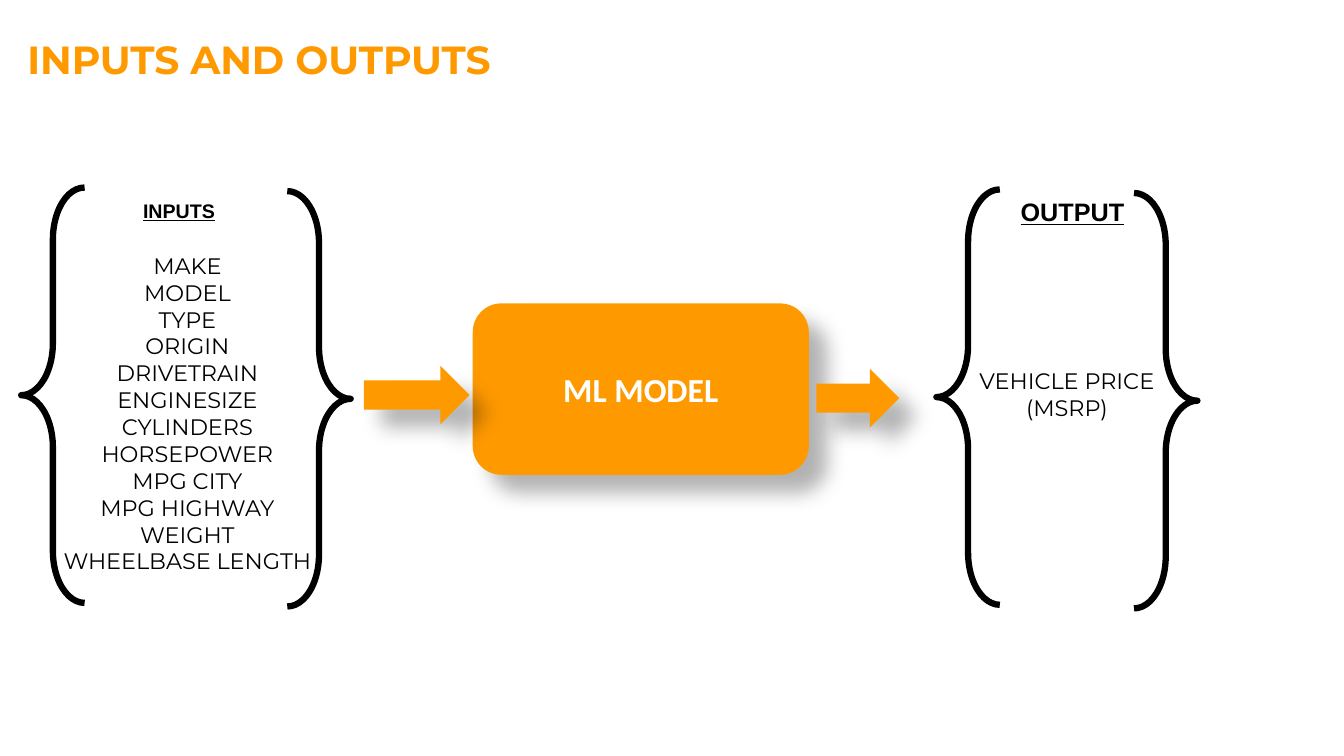
"""Build the slide that shows the inputs and the output of a machine learning model."""
from pptx import Presentation
from pptx import util as u
from pptx.dml.color import RGBColor
from pptx.enum import shapes, text
from pptx.oxml import parse_xml
from pptx.oxml.ns import nsdecls, qn

ORANGE = RGBColor(0xFF, 0x99, 0x00)
BLACK = RGBColor(0x00, 0x00, 0x00)
WHITE = RGBColor(0xFF, 0xFF, 0xFF)

SLIDE_WIDTH, SLIDE_HEIGHT = u.Inches(13.33), u.Inches(7.5)
COLUMNS, ROWS = 64, 36
BRACE_COLUMNS, BRACE_ROWS = 3.02, 19.78
BRACE_DROP = 0.17
ARROW_ROWS = 2.78

TITLE = {"name": "Montserrat", "size": u.Pt(28), "bold": True, "color": ORANGE}
ITEM = {"name": "Montserrat", "size": u.Pt(16), "bold": False, "color": BLACK}
MODEL = {"name": "Calibri", "size": u.Pt(24), "bold": True, "color": WHITE}
CAPTION = {"name": "Arial", "bold": True, "underline": True, "color": BLACK}
INPUT_CAPTION = {**CAPTION, "size": u.Pt(14)}
OUTPUT_CAPTION = {**CAPTION, "size": u.Pt(18)}

INPUTS = ["MAKE", "MODEL", "TYPE", "ORIGIN", "DRIVETRAIN", "ENGINESIZE", "CYLINDERS",
          "HORSEPOWER", "MPG CITY", "MPG HIGHWAY", "WEIGHT", "WHEELBASE LENGTH"]
OUTPUTS = ["VEHICLE PRICE (MSRP)"]


def place(column, row, columns, rows):
    """Turn a grid area into left, top, width and height."""
    cell_width, cell_height = SLIDE_WIDTH / COLUMNS, SLIDE_HEIGHT / ROWS
    return (round(column * cell_width), round(row * cell_height),
            round(columns * cell_width), round(rows * cell_height))


def move(holder, area):
    """Set a placeholder on a grid area."""
    for side, length in zip(("left", "top", "width", "height"), place(*area)):
        setattr(holder, side, length)


def format_font(font, style):
    """Apply the format values of a style to a font."""
    for name, value in style.items():
        if name == "color":
            font.color.rgb = value
        else:
            setattr(font, name, value)


def write(frame, lines, style, align, anchor=text.MSO_ANCHOR.TOP, wrap=True):
    """Write plain paragraphs without bullets into a text frame."""
    frame.word_wrap = wrap
    frame.auto_size = text.MSO_AUTO_SIZE.NONE
    frame.vertical_anchor = anchor
    for index, line in enumerate(lines):
        paragraph = frame.paragraphs[0] if index == 0 else frame.add_paragraph()
        properties = paragraph._p.get_or_add_pPr()
        properties.set("marL", "0")
        properties.set("indent", "0")
        properties.append(parse_xml(f"<a:buNone {nsdecls('a')}/>"))
        paragraph.alignment = align
        paragraph.space_before = u.Pt(0)
        paragraph.text = line
        format_font(paragraph.font, style)


def add_caption(slide, words, area, style, align, wrap):
    """Add the heading of a brace group."""
    caption = slide.shapes.add_textbox(*place(*area))
    write(caption.text_frame, [words], style, align, wrap=wrap)


def add_block(slide, kind, area):
    """Add an orange shape with a soft shadow."""
    block = slide.shapes.add_shape(kind, *place(*area))
    block.fill.solid()
    block.fill.fore_color.rgb = ORANGE
    block.line.fill.background()
    block.shadow.inherit = False
    block._element.spPr.find(qn("a:effectLst")).append(parse_xml(
        f'<a:outerShdw {nsdecls("a")} blurRad="{u.Pt(15)}" dist="{u.Pt(18)}" '
        'dir="2700000" algn="tl" rotWithShape="0"><a:srgbClr val="000000">'
        '<a:alpha val="30000"/></a:srgbClr></a:outerShdw>'))
    return block


def add_braces(slide, column, row, gap):
    """Add a left brace and its turned partner a gap of columns away."""
    for offset, drop, turn in ((0, 0, 0), (gap, BRACE_DROP, 180)):
        area = (column + offset, row + drop, BRACE_COLUMNS, BRACE_ROWS)
        brace = slide.shapes.add_shape(shapes.MSO_SHAPE.LEFT_BRACE, *place(*area))
        brace.adjustments[0] = 0.82
        brace.rotation = turn
        brace.fill.background()
        brace.line.color.rgb = BLACK
        brace.line.width = u.Pt(4.5)
        brace.shadow.inherit = False


def main():
    """Build and save the slide."""
    deck = Presentation()
    deck.slide_width, deck.slide_height = SLIDE_WIDTH, SLIDE_HEIGHT
    slide = deck.slides.add_slide(deck.slide_layouts.get_by_name("Two Content"))
    left, center = text.PP_ALIGN.LEFT, text.PP_ALIGN.CENTER
    middle = text.MSO_ANCHOR.MIDDLE

    heading, inputs, outputs = slide.placeholders
    move(heading, (0.82, 1.44, 54.34, 2.74))
    write(heading.text_frame, ["INPUTS AND OUTPUTS"], TITLE, left)
    move(inputs, (2.3, 11.76, 13.25, 16))
    write(inputs.text_frame, INPUTS, ITEM, center)
    move(outputs, (45.07, 12.72, 11.47, 12.1))
    write(outputs.text_frame, OUTPUTS, ITEM, center, middle)

    model = add_block(slide, shapes.MSO_SHAPE.ROUNDED_RECTANGLE, (22.51, 14.45, 16, 8.16))
    write(model.text_frame, ["ML MODEL"], MODEL, center, middle)
    for column, row, columns in ((17.33, 17.42, 5.04), (38.88, 17.57, 3.94)):
        add_block(slide, shapes.MSO_SHAPE.RIGHT_ARROW, (column, row, columns, ARROW_ROWS))

    add_braces(slide, 1.01, 8.93, 12.67)
    add_braces(slide, 44.59, 9.02, 9.41)
    add_caption(slide, "INPUTS", (6.34, 9.22, 4.42, 1.63), INPUT_CAPTION, left, False)
    add_caption(slide, "OUTPUT", (38.14, 9.12, 25.86, 1.92), OUTPUT_CAPTION, center, True)

    deck.save("out.pptx")


if __name__ == "__main__":
    main()
